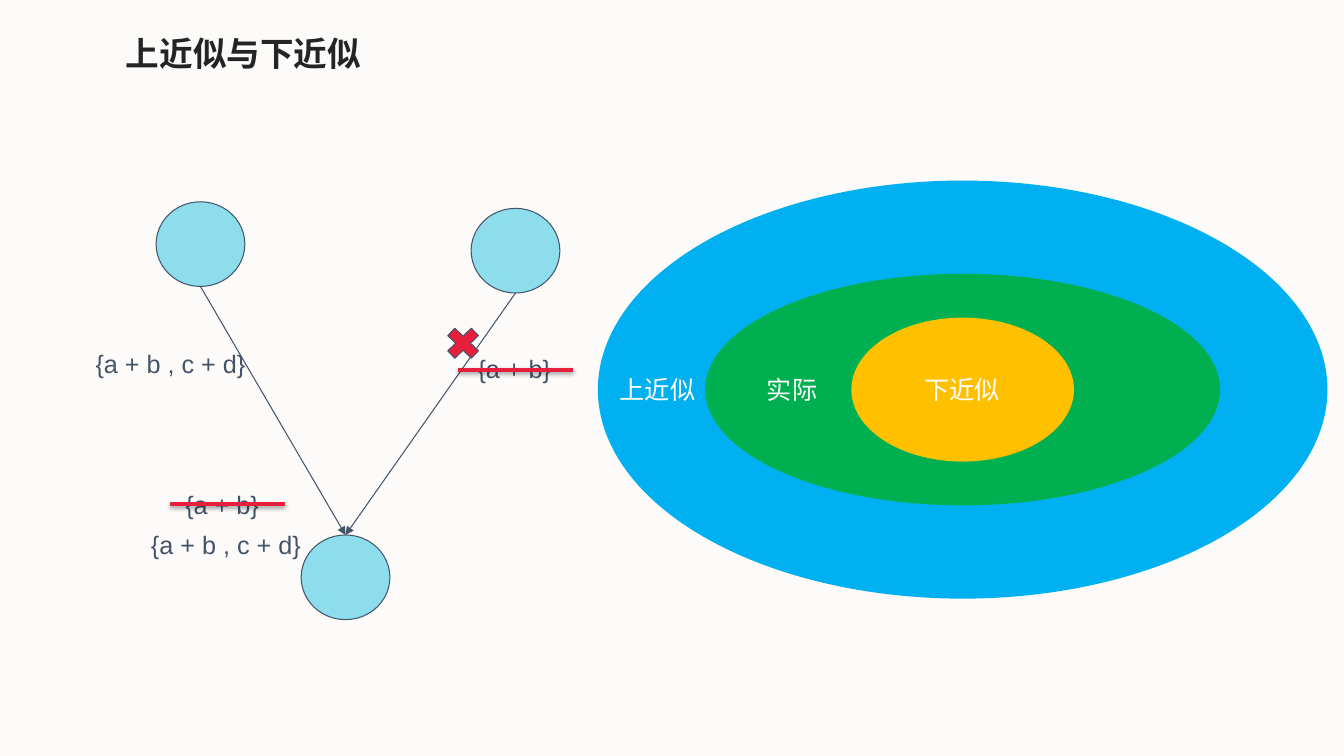
"""Build the slide on upper and lower approximation."""
from dataclasses import dataclass

from lxml.etree import SubElement
from pptx import Presentation
from pptx.dml.color import RGBColor as RGB
from pptx.enum.shapes import MSO_CONNECTOR as LINE, MSO_SHAPE as SHAPE
from pptx.enum.text import MSO_ANCHOR as ANCHOR, MSO_AUTO_SIZE as FIT, PP_ALIGN as ALIGN
from pptx.oxml.ns import qn
from pptx.util import Pt


@dataclass(frozen=True)
class Theme:
    paper: str = "FCFBF9"
    heading: str = "232525"
    ink: str = "445469"
    node: str = "8DDDED"
    alert: str = "E71F3C"
    upper: str = "00B0F0"
    actual: str = "00B050"
    lower: str = "FFC000"
    white: str = "FFFFFF"
    latin_font: str = "Arial"
    cjk_font: str = "Noto Sans CJK SC"
    title_size: float = 24
    label_size: float = 18
    thin: float = 0.75
    rim: float = 2
    thick: float = 3


class SlideBuilder:
    def __init__(self, slide, theme):
        self.slide, self.theme = slide, theme
        self.shapes = slide.shapes
        slide.background.fill.solid()
        slide.background.fill.fore_color.rgb = RGB.from_string(theme.paper)

    def group(self):
        self.shapes = self.slide.shapes.add_group_shape().shapes

    def style_text(self, frame, size, color, font, bold=False):
        for run in frame.paragraphs[0].runs:
            run.font.size, run.font.bold, run.font.name = Pt(size), bold, font
            run.font.color.rgb = RGB.from_string(color)
            east_asian = SubElement(run.font._element, qn("a:ea"))
            east_asian.set("typeface", self.theme.cjk_font)

    def title(self, text, left, top, width, height):
        heading = self.slide.shapes.title
        heading.left, heading.top = Pt(left), Pt(top)
        heading.width, heading.height = Pt(width), Pt(height)
        frame = heading.text_frame
        frame.text = text
        frame.vertical_anchor, frame.auto_size = ANCHOR.MIDDLE, FIT.NONE
        frame.paragraphs[0].alignment = ALIGN.LEFT
        theme = self.theme
        self.style_text(frame, theme.title_size, theme.heading, theme.cjk_font, True)

    def label(self, text, left, top, width, color):
        box = self.shapes.add_textbox(Pt(left), Pt(top), Pt(width), Pt(29))
        frame = box.text_frame
        frame.text = text
        frame.word_wrap, frame.auto_size = False, FIT.SHAPE_TO_FIT_TEXT
        self.style_text(frame, self.theme.label_size, color, self.theme.latin_font)

    def figure(self, kind, center, size, fill, outline, weight):
        (x, y), (width, height) = center, size
        figure = self.shapes.add_shape(
            kind, Pt(x - width / 2), Pt(y - height / 2), Pt(width), Pt(height))
        figure.shadow.inherit = False
        figure.fill.solid()
        figure.fill.fore_color.rgb = RGB.from_string(fill)
        figure.line.color.rgb = RGB.from_string(outline)
        figure.line.width = Pt(weight)
        return figure

    def line(self, start, end, color, weight):
        line = self.shapes.add_connector(LINE.STRAIGHT, *map(Pt, (*start, *end)))
        line.line.color.rgb = RGB.from_string(color)
        line.line.width = Pt(weight)
        effects = SubElement(line._element.spPr, qn("a:effectLst"))
        return line, effects

    def arrow(self, source, target):
        start = (source.left + source.width / 2, source.top + source.height)
        end = (target.left + target.width / 2, target.top)
        arrow, _ = self.line([x / Pt(1) for x in start], [x / Pt(1) for x in end],
                             self.theme.ink, self.theme.thin)
        arrow.end_connect(target, 0)
        SubElement(arrow.line._get_or_add_ln(), qn("a:tailEnd"), type="triangle")

    def strike(self, left, y, length):
        _, effects = self.line((left + length, y), (left, y),
                               self.theme.alert, self.theme.thick)
        shadow = SubElement(effects, qn("a:outerShdw"), blurRad=str(Pt(3.1)),
                            dist=str(Pt(1.8)), dir="5400000", rotWithShape="0")
        tint = SubElement(shadow, qn("a:srgbClr"), val="000000")
        SubElement(tint, qn("a:alpha"), val="35000")


def main():
    theme = Theme()
    deck = Presentation()
    deck.slide_width, deck.slide_height = Pt(960), Pt(540)
    page = SlideBuilder(deck.slides.add_slide(deck.slide_layouts[5]), theme)
    page.title("上近似与下近似", 82.8, 20.2, 280.8, 36)

    left_source, right_source, merge = [
        page.figure(SHAPE.OVAL, center, (63.4, 60.5), theme.node, theme.ink, theme.thin)
        for center in ((143.2, 174.4), (368.2, 179.1), (246.8, 412.4))]
    for source in (left_source, right_source):
        page.arrow(source, merge)

    for expressions, left, top, width in (
            ("{a + b , c + d}", 61.2, 245.5, 122.4),
            ("{a + b}", 125.3, 345.6, 67.7),
            ("{a + b}", 334.1, 249.1, 67.7),
            ("{a + b , c + d}", 100.8, 374.4, 122.4)):
        page.label(expressions, left, top, width, theme.ink)

    page.figure(SHAPE.MATH_MULTIPLY, (330.8, 245.2), (32.4, 31),
                theme.alert, theme.ink, theme.thin)
    for left, y in ((327, 264.2), (121.2, 360)):
        page.strike(left, y, 82.3)

    page.group()
    for size, color in (((519.1, 296.6), theme.upper),
                        ((365.8, 163.4), theme.actual),
                        ((157, 100.8), theme.lower)):
        page.figure(SHAPE.OVAL, (687.6, 278.3), size, color, color, theme.rim)
    for name, left, width in (("下近似", 653, 69.1), ("实际", 540.7, 51.1),
                              ("上近似", 435.6, 69.1)):
        page.label(name, left, 263.5, width, theme.white)

    deck.save("out.pptx")


if __name__ == "__main__":
    main()
